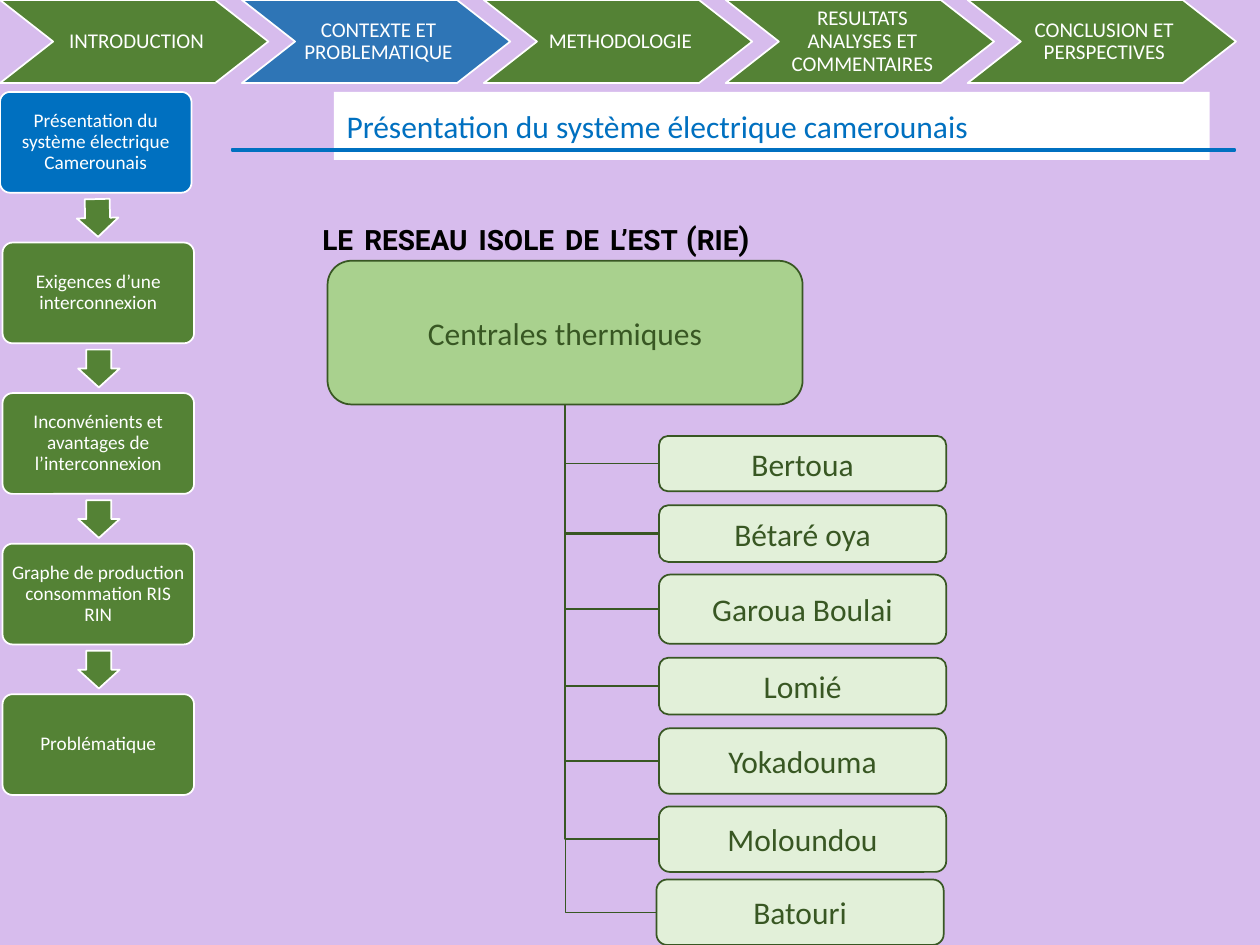
from lxml.etree import SubElement
from pptx import Presentation
from pptx.dml.color import RGBColor
from pptx.enum.shapes import MSO_CONNECTOR as Connector, MSO_SHAPE as Shape
from pptx.enum.text import MSO_ANCHOR as Anchor, MSO_AUTO_SIZE as AutoSize, PP_ALIGN as Align
from pptx.oxml.ns import qn
from pptx.util import Inches, Pt

GREEN, DARK_GREEN, MID_GREEN, PALE_GREEN = "548235", "385723", "A9D18E", "E2F0D9"
BLUE, STEP_BLUE, WHITE, BLACK, LILAC = "0070C0", "2E75B6", "FFFFFF", "000000", "D7BCED"

CHAPTERS = ["INTRODUCTION", "CONTEXTE ET PROBLEMATIQUE", "METHODOLOGIE",
            "RESULTATS ANALYSES ET COMMENTAIRES", "CONCLUSION ET PERSPECTIVES"]
SECTIONS = ["Présentation du système électrique Camerounais",
            "Exigences d’une interconnexion",
            "Inconvénients et avantages de l’interconnexion",
            "Graphe de production consommation RIS RIN", "Problématique"]
TOWNS = [("Bertoua", 5.23, 3.46, 0.44, 0.5), ("Bétaré oya", 5.23, 4.01, 0.45, 1.5),
         ("Garoua Boulai", 5.23, 4.56, 0.55, 1), ("Lomié", 5.23, 5.22, 0.45, 1.5),
         ("Yokadouma", 5.23, 5.78, 0.52, 1), ("Moloundou", 5.23, 6.4, 0.52, 1.5),
         ("Batouri", 5.21, 6.98, 0.52, 0.5)]


def paint(fill, color):
    fill.solid()
    fill.fore_color.rgb = RGBColor.from_string(color)


def style_run(run, size, color, font="Calibri", bold=False):
    run.font.size, run.font.name, run.font.bold = Pt(size), font, bold
    paint(run.font.fill, color)


def place(shape, left, top, width, height):
    shape.left, shape.top = Inches(left), Inches(top)
    shape.width, shape.height = Inches(width), Inches(height)


def add_block(slide, preset, box, fill, line, adjustments=()):
    block = slide.shapes.add_shape(preset, *map(Inches, box))
    block.shadow.inherit = False
    paint(block.fill, fill)
    paint(block.line.fill, line)
    block.line.width = Pt(1)
    for index, value in enumerate(adjustments):
        block.adjustments[index] = value
    return block


def write(block, text, size, color, margins=(0.1, 0.05, 0.1, 0.05), align=Align.CENTER):
    frame = block.text_frame
    frame.text = text
    frame.word_wrap = True
    frame.auto_size = AutoSize.NONE
    frame.vertical_anchor = Anchor.MIDDLE
    (frame.margin_left, frame.margin_top,
     frame.margin_right, frame.margin_bottom) = map(Inches, margins)
    paragraph = frame.paragraphs[0]
    paragraph.alignment = align
    style_run(paragraph.runs[0], size, color)
    return paragraph


def write_tight(block, text, size, margins):
    paragraph = write(block, text, size, WHITE, margins)
    paragraph.line_spacing = 0.9
    paragraph.space_after = Pt(5)


def add_chapter_bar(slide, left, top, width, height):
    step = 1.92
    chevron_width = width - step * (len(CHAPTERS) - 1)
    for index, chapter in enumerate(CHAPTERS):
        chevron = add_block(slide, Shape.CHEVRON,
                            (left + index * step, top, chevron_width, height),
                            STEP_BLUE if index == 1 else GREEN, WHITE, [0.64])
        write_tight(chevron, chapter, 12, (0.05, 0.02, 0.01, 0.02))


def add_title(slide, left, top, width, height):
    title = slide.shapes.title
    place(title, left, top, width, height)
    properties = title._element.spPr
    geometry = SubElement(properties, qn("a:prstGeom"), prst="roundRect")
    SubElement(geometry, qn("a:avLst"))
    paint(title.fill, WHITE)
    paragraph = write(title, "Présentation du système électrique camerounais",
                      18, BLUE, align=Align.LEFT)
    paragraph.line_spacing = 1
    paragraph.space_before = Pt(0)
    add_block(slide, Shape.RECTANGLE, (1.84, 1.18, 7.96, 0.02), BLUE, BLUE)


def add_elbow(slide, left, top, right, bottom, weight):
    run, drop = right - left, bottom - top
    center_x, center_y = (left + right) / 2, (top + bottom) / 2
    elbow = slide.shapes.add_connector(
        Connector.ELBOW,
        Inches(center_x - drop / 2), Inches(center_y - run / 2),
        Inches(center_x + drop / 2), Inches(center_y + run / 2))
    properties = elbow._element.spPr
    properties.find(qn("a:prstGeom")).set("prst", "bentConnector2")
    transform = properties.find(qn("a:xfrm"))
    transform.set("rot", "16200000")
    transform.set("flipH", "1")
    paint(elbow.line.fill, DARK_GREEN)
    elbow.line.width = Pt(weight)
    SubElement(properties, qn("a:effectLst"))


def add_plant_tree(slide, left, top, width, height):
    root = add_block(slide, Shape.ROUNDED_RECTANGLE, (left, top, width, height),
                     MID_GREEN, DARK_GREEN)
    write(root, "Centrales thermiques", 18, DARK_GREEN)
    for town, town_left, town_top, town_height, weight in TOWNS:
        add_elbow(slide, left + width / 2, top + height,
                  town_left, town_top + town_height / 2, weight)
        leaf = add_block(slide, Shape.ROUNDED_RECTANGLE,
                         (town_left, town_top, 2.28, town_height), PALE_GREEN, DARK_GREEN)
        write(leaf, town, 18, DARK_GREEN)


def add_heading(slide, left, top, width, height):
    heading = slide.shapes.add_textbox(*map(Inches, (left, top, width, height)))
    heading.text_frame.word_wrap = True
    heading.text_frame.auto_size = AutoSize.SHAPE_TO_FIT_TEXT
    paragraph = heading.text_frame.paragraphs[0]

    def append(text, *style):
        run = paragraph.add_run()
        run.text = text
        style_run(run, *style)

    for index, word in enumerate("LE RESEAU ISOLE DE L’EST".split()):
        if index:
            append(" ", 28, BLACK)
        append(word, 16, BLACK, "Roboto", True)
    for text, size in ((" (", 18), ("RIE", 16), (")", 18)):
        append(text, size, BLACK, "Roboto", True)


def add_section_flow(slide, left, top, width, height):
    box_height = 0.8
    step = (height - box_height) / (len(SECTIONS) - 1)
    for index, section in enumerate(SECTIONS):
        current = index == 0
        box_left, box_top = (0 if current else left), top + index * step
        card = add_block(slide, Shape.ROUNDED_RECTANGLE,
                         (box_left, box_top, width, box_height),
                         BLUE if current else GREEN, WHITE, [0.1])
        write_tight(card, section, 11, (0.04, 0.04, 0.04, 0.04))
        if index < len(SECTIONS) - 1:
            arrow = add_block(slide, Shape.DOWN_ARROW,
                              (0.61 if current else 0.62, box_top + 0.85, 0.33, 0.3),
                              GREEN, WHITE, [0.6, 0.5])
            arrow.rotation = 358.7 if current else 0


def main():
    deck = Presentation()
    deck.slide_width, deck.slide_height = Inches(10), Inches(7.5)
    slide = deck.slides.add_slide(deck.slide_layouts[5])
    paint(slide.background.fill, LILAC)
    add_chapter_bar(slide, 0, 0, 9.81, 0.66)
    add_title(slide, 2.65, 0.73, 6.95, 0.54)
    add_plant_tree(slide, 2.6, 2.07, 3.77, 1.14)
    add_heading(slide, 2.46, 1.55, 4.41, 0.57)
    add_section_flow(slide, 0.02, 0.73, 1.52, 5.58)
    deck.save("out.pptx")


if __name__ == "__main__":
    main()
